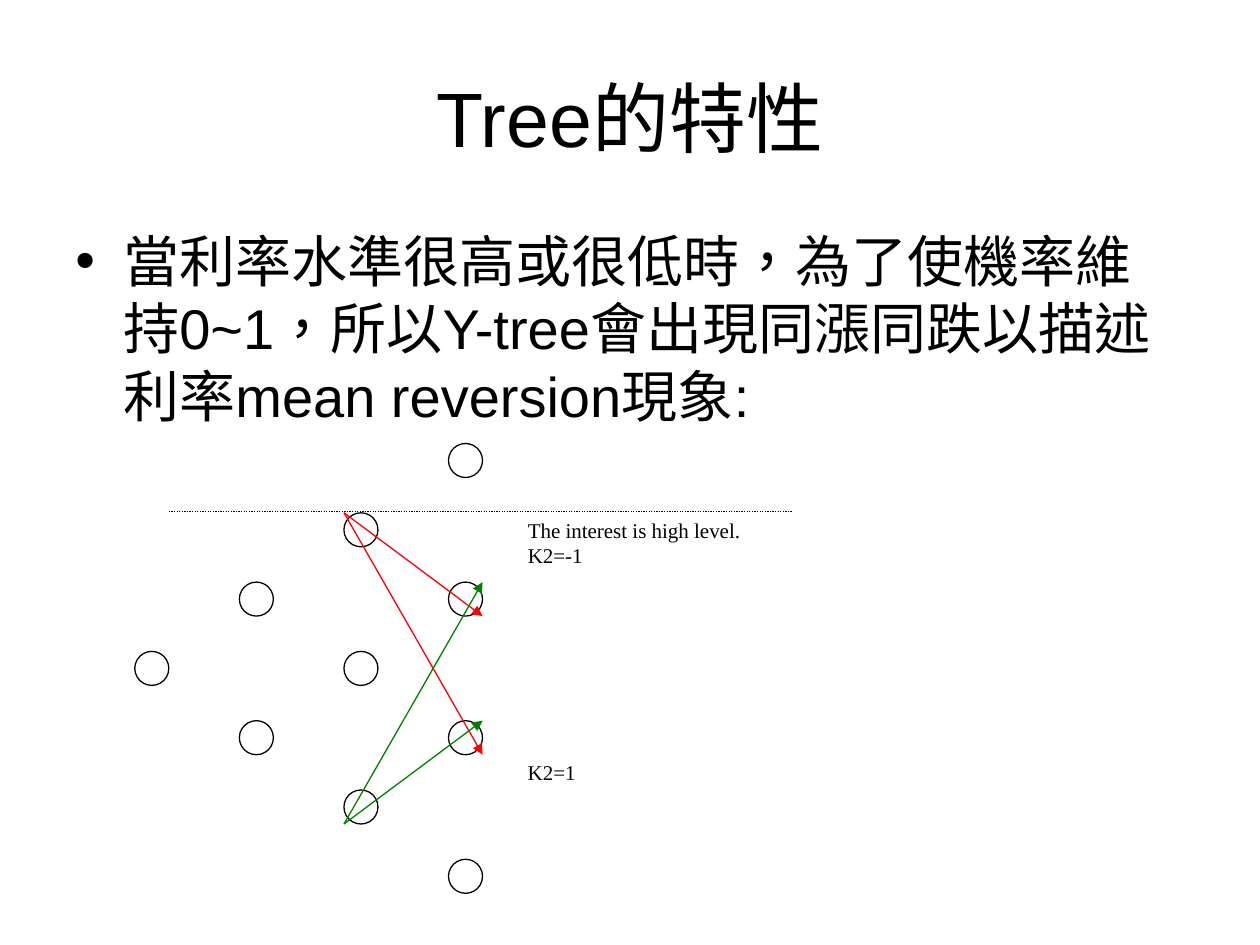
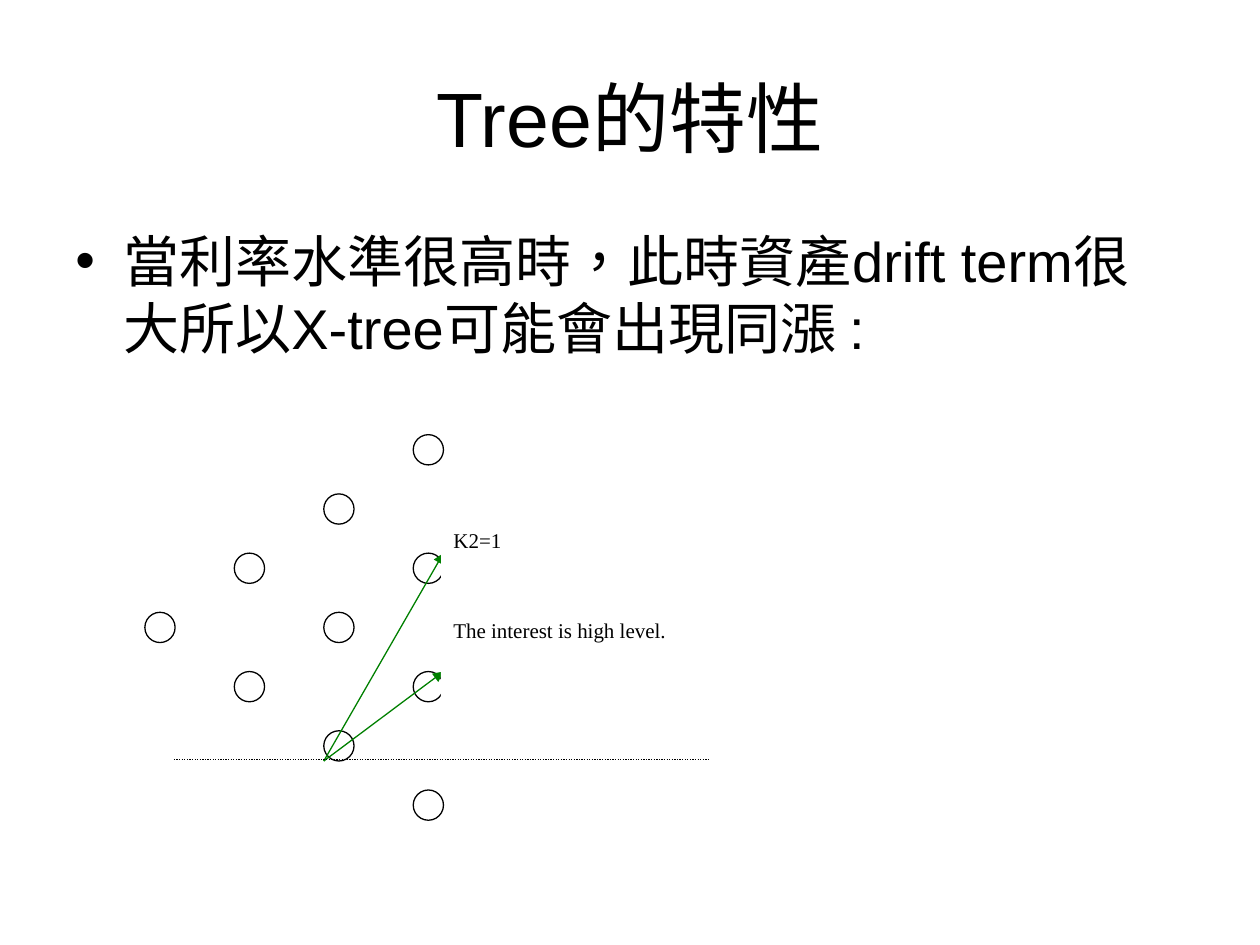
from lxml import etree
from pptx import Presentation
from pptx.dml.color import RGBColor
from pptx.enum.dml import MSO_LINE
from pptx.enum.shapes import MSO_CONNECTOR, MSO_SHAPE
from pptx.enum.text import MSO_ANCHOR, PP_ALIGN
from pptx.oxml.ns import qn
from pptx.util import Inches, Pt

BLACK, WHITE, RED, GREEN = "000000", "FFFFFF", "FF0000", "008000"
TITLE = "Tree的特性"
TITLE_BOX = (0.5, 0.3, 9, 1.25)
BODY_BOX = (0.5, 1.75, 9, 4.95)
INDENT = 0.38

# Each branch: start (column, row), end rows in the last column, colour.
# Rows count half-steps from the root, downwards.
TREES = [
    {
        "body": "當利率水準很高或很低時，為了使機率維持0~1，所以Y-tree會出現同漲同跌以描述利率mean reversion現象:",
        "root": (1.07, 5.17), "size": 0.27, "step": (0.83, 0.55),
        "branches": [((2, -2), (-1, 1), RED), ((2, 2), (1, -1), GREEN)],
        "labels": [
            (("The interest is high level.", "K2=-1"), (4.09, 4.06, 2.48, 2.19)),
            (("K2=1",), (4.09, 5.98, 1.93, 0.82)),
        ],
        "threshold": (1.34, 6.29, 4.06),
    },
    {
        "body": "當利率水準很高時，此時資產drift term很大所以X-tree可能會出現同漲 :",
        "root": (1.15, 4.86), "size": 0.24, "step": (0.71, 0.47),
        "branches": [((2, 2), (1, -1), GREEN)],
        "labels": [
            (("K2=1",), (3.5, 4.14, 1.65, 0.71)),
            (("The interest is high level.",), (3.5, 4.85, 2.36, 1.18)),
        ],
        "threshold": (1.38, 5.62, 6.03),
    },
]
LAST_COLUMN = 3


def colour(value):
    return RGBColor.from_string(value)


def inches(values):
    return [Inches(value) for value in values]


def add_run(paragraph, text, size, font_name):
    run = paragraph.add_run()
    run.text = text
    run.font.size = Pt(size)
    run.font.name = font_name
    run.font.color.rgb = colour(BLACK)
    run._r.get_or_add_rPr().set("lang", "zh-TW")


def add_text_box(slide, box):
    shape = slide.shapes.add_textbox(*inches(box))
    shape.text_frame.word_wrap = True
    return shape


def add_heading(slide, body):
    frame = add_text_box(slide, TITLE_BOX).text_frame
    frame.vertical_anchor = MSO_ANCHOR.MIDDLE
    frame.paragraphs[0].alignment = PP_ALIGN.CENTER
    add_run(frame.paragraphs[0], TITLE, 44, "Arial")

    paragraph = add_text_box(slide, BODY_BOX).text_frame.paragraphs[0]
    properties = paragraph._p.get_or_add_pPr()
    properties.set("marL", str(Inches(INDENT)))
    properties.set("indent", str(-Inches(INDENT)))
    etree.SubElement(properties, qn("a:buFont")).set("typeface", "Arial")
    etree.SubElement(properties, qn("a:buChar")).set("char", "•")
    add_run(paragraph, body, 32, "Arial")


def add_line(slide, start, end, line_colour):
    connector = slide.shapes.add_connector(
        MSO_CONNECTOR.STRAIGHT, *inches(start + end))
    connector.line.color.rgb = colour(line_colour)
    connector.line.width = Pt(0.75)
    etree.SubElement(connector._element.spPr, qn("a:effectLst"))
    return connector


def add_node(slide, corner, size):
    node = slide.shapes.add_shape(
        MSO_SHAPE.OVAL, *inches(corner + (size, size)))
    node.shadow.inherit = False
    node.fill.solid()
    node.fill.fore_color.rgb = colour(WHITE)
    node.line.color.rgb = colour(BLACK)
    node.line.width = Pt(0.75)


def add_label(slide, lines, box):
    shape = add_text_box(slide, box)
    shape.fill.solid()
    shape.fill.fore_color.rgb = colour(WHITE)
    paragraph = shape.text_frame.paragraphs[0]
    for index, line in enumerate(lines):
        if index:
            paragraph.add_line_break()
        add_run(paragraph, line, 12, "Times New Roman")


def add_tree(slide, tree):
    size = tree["size"]

    def corner(column, row):
        (left, top), (step_x, step_y) = tree["root"], tree["step"]
        return left + column * step_x, top + row * step_y

    # Nodes: one more in each column
    for column in range(LAST_COLUMN + 1):
        for row in range(-column, column + 1, 2):
            add_node(slide, corner(column, row), size)

    # Branches: from the outer left corner of a node to the far right corner
    for start, end_rows, branch_colour in tree["branches"]:
        rises = start[1] > 0
        start_x, start_y = corner(*start)
        for row in end_rows:
            end_x, end_y = corner(LAST_COLUMN, row)
            arrow = add_line(
                slide,
                (start_x, start_y + (size if rises else 0)),
                (end_x + size, end_y + (0 if rises else size)),
                branch_colour)
            tail = etree.SubElement(arrow.line._get_or_add_ln(), qn("a:tailEnd"))
            tail.set("type", "triangle")

    for lines, box in tree["labels"]:
        add_label(slide, lines, box)

    # Dotted interest level
    left, right, level = tree["threshold"]
    threshold = add_line(slide, (left, level), (right, level), BLACK)
    threshold.line.dash_style = MSO_LINE.ROUND_DOT


def main():
    presentation = Presentation()
    presentation.slide_width = Inches(10)
    presentation.slide_height = Inches(7.5)
    for tree in TREES:
        slide = presentation.slides.add_slide(presentation.slide_layouts[6])
        add_heading(slide, tree["body"])
        add_tree(slide, tree)
    presentation.save("out.pptx")


if __name__ == "__main__":
    main()
